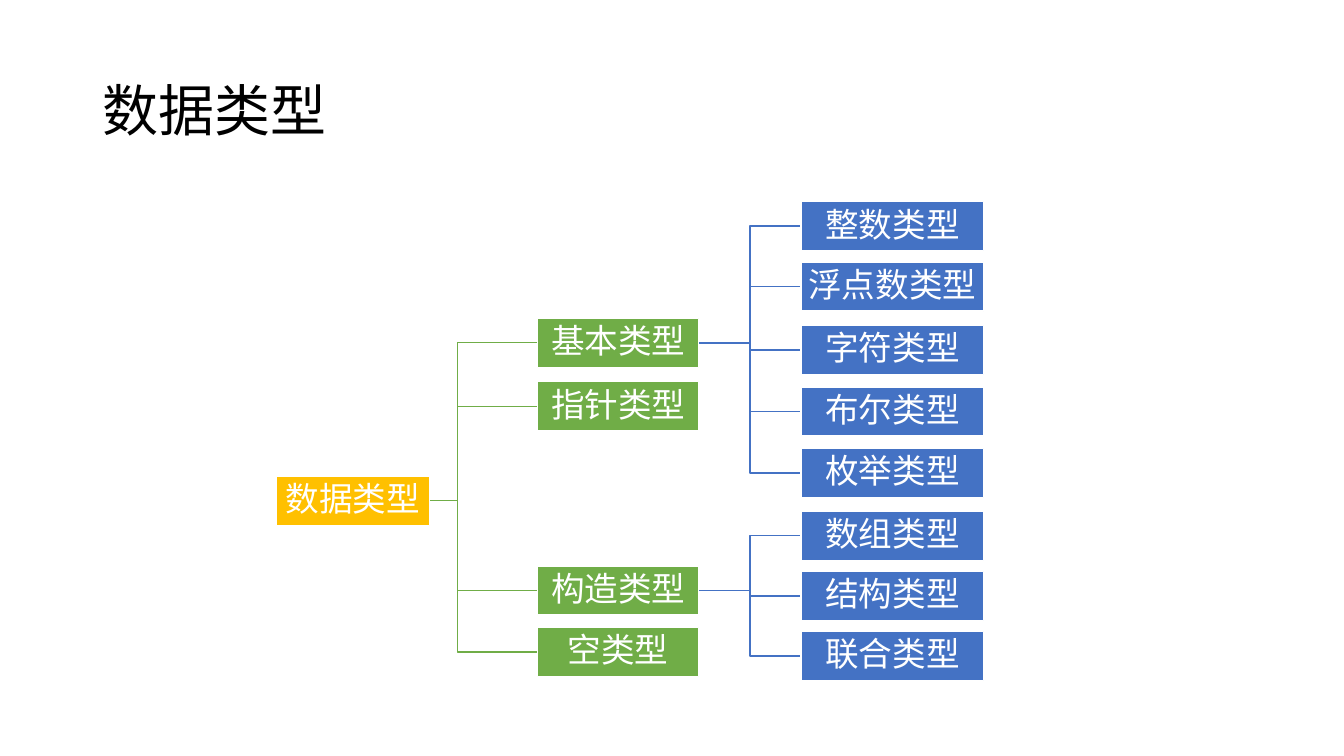
from pptx import Presentation
from pptx.dml.color import RGBColor
from pptx.enum.shapes import MSO_CONNECTOR as Link, MSO_SHAPE as Preset
from pptx.enum.text import MSO_ANCHOR as Anchor, PP_ALIGN as Align
from pptx.oxml.ns import qn
from pptx.util import Cm, Pt
from lxml import etree

# Content: (label, vertical centre in cm, children)
TITLE = "数据类型"
TREE = ("数据类型", 12.62, [
    ("基本类型", 8.64, [
        ("整数类型", 5.7, []),
        ("浮点数类型", 7.22, []),
        ("字符类型", 8.82, []),
        ("布尔类型", 10.37, []),
        ("枚举类型", 11.92, []),
    ]),
    ("指针类型", 10.24, []),
    ("构造类型", 14.88, [
        ("数组类型", 13.5, []),
        ("结构类型", 15.02, []),
        ("联合类型", 16.53, []),
    ]),
    ("空类型", 16.43, []),
])

THEME = {
    "title_font": "Noto Sans CJK SC", "title_size": Pt(40), "title_color": "000000",
    "node_font": "Calibri", "node_size": Pt(24), "node_color": "FFFFFF",
    "levels": ["FFC000", "70AD47", "4472C4"],
    "line": Pt(1), "spacing": 0.9,
}

# Layout in cm, one column per tree level: left, width, start of its branches
COLUMNS = [(6.96, 3.86, 9.52), (13.55, 4.06, 17.61), (20.19, 4.6, None)]
NODE_HEIGHT = 1.24
INSET = Cm(0.05)


def rgb(name):
    return RGBColor.from_string(name)


def write(frame, text, role, align):
    frame.word_wrap = True
    frame.vertical_anchor = Anchor.MIDDLE
    line = frame.paragraphs[0]
    line.text = text
    line.alignment = align
    line.line_spacing = THEME["spacing"]
    line.font.name = THEME[role + "_font"]
    line.font.size = THEME[role + "_size"]
    line.font.color.rgb = rgb(THEME[role + "_color"])


def draw_branch(start_x, start_y, end_x, end_y, color):
    branch = slide.shapes.add_connector(
        Link.ELBOW, Cm(start_x), Cm(start_y), Cm(end_x), Cm(end_y))
    branch.line.color.rgb = rgb(color)
    branch.line.width = THEME["line"]
    etree.SubElement(branch.element.spPr, qn("a:effectLst"))


def draw_node(node, level=0):
    label, center, children = node
    left, width, branch_start = COLUMNS[level]
    # Branches go first so that the boxes cover their ends
    for child in children:
        draw_branch(branch_start, center, COLUMNS[level + 1][0], child[1],
                    THEME["levels"][level + 1])
    for child in children:
        draw_node(child, level + 1)

    box = slide.shapes.add_shape(
        Preset.RECTANGLE, Cm(left), Cm(center - NODE_HEIGHT / 2),
        Cm(width), Cm(NODE_HEIGHT))
    box.shadow.inherit = False
    box.fill.solid()
    box.fill.fore_color.rgb = rgb(THEME["levels"][level])
    box.line.color.rgb = rgb(THEME["node_color"])
    box.line.width = THEME["line"]
    frame = box.text_frame
    frame.margin_left = frame.margin_right = INSET
    frame.margin_top = frame.margin_bottom = INSET
    write(frame, label, "node", Align.CENTER)


# Slide
deck = Presentation()
deck.slide_width, deck.slide_height = Cm(33.87), Cm(19.05)
slide = deck.slides.add_slide(deck.slide_layouts[6])

# Title
heading = slide.shapes.add_textbox(Cm(2.33), Cm(1.01), Cm(29.21), Cm(3.68))
write(heading.text_frame, TITLE, "title", Align.LEFT)

# Type tree
draw_node(TREE)

deck.save("out.pptx")
